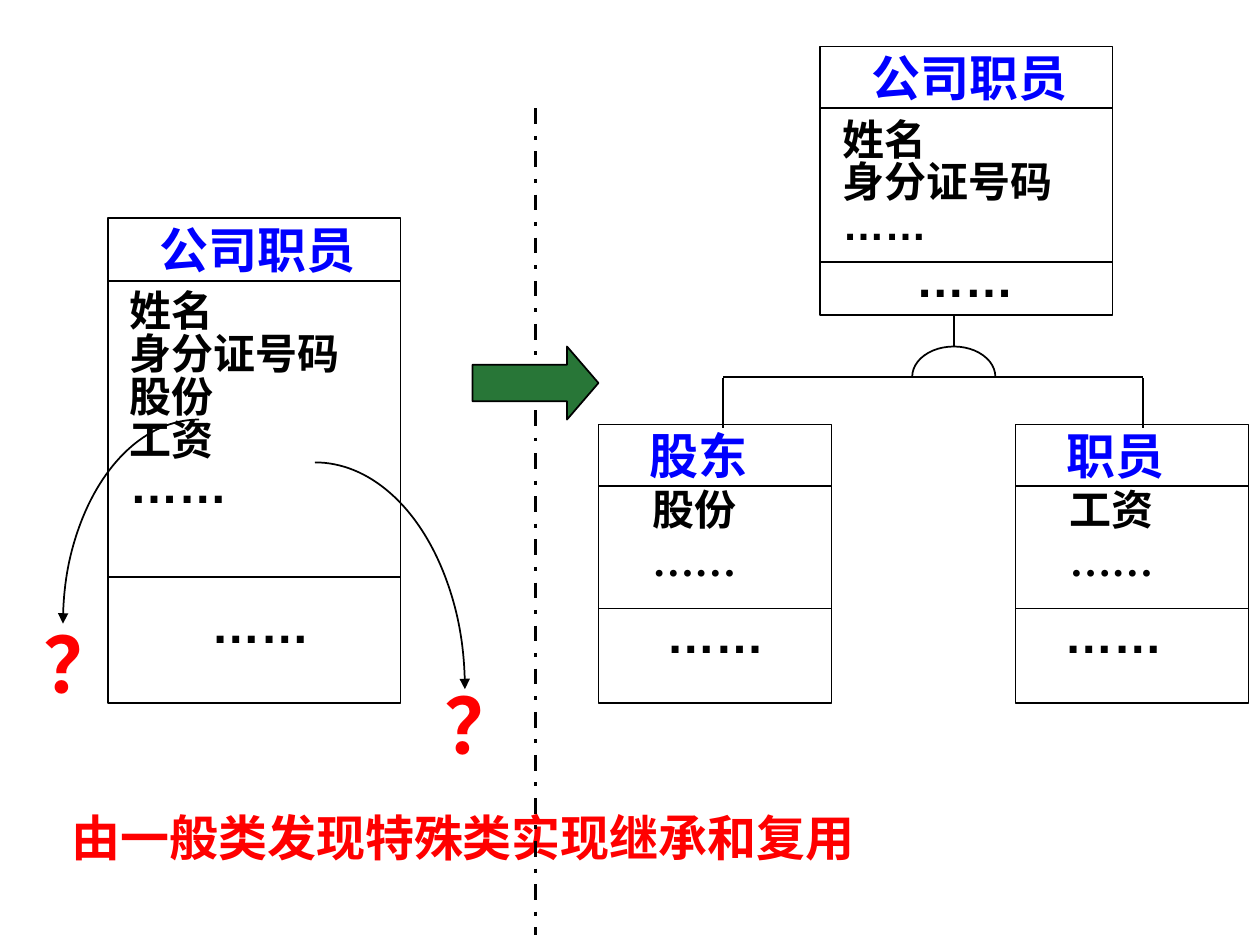
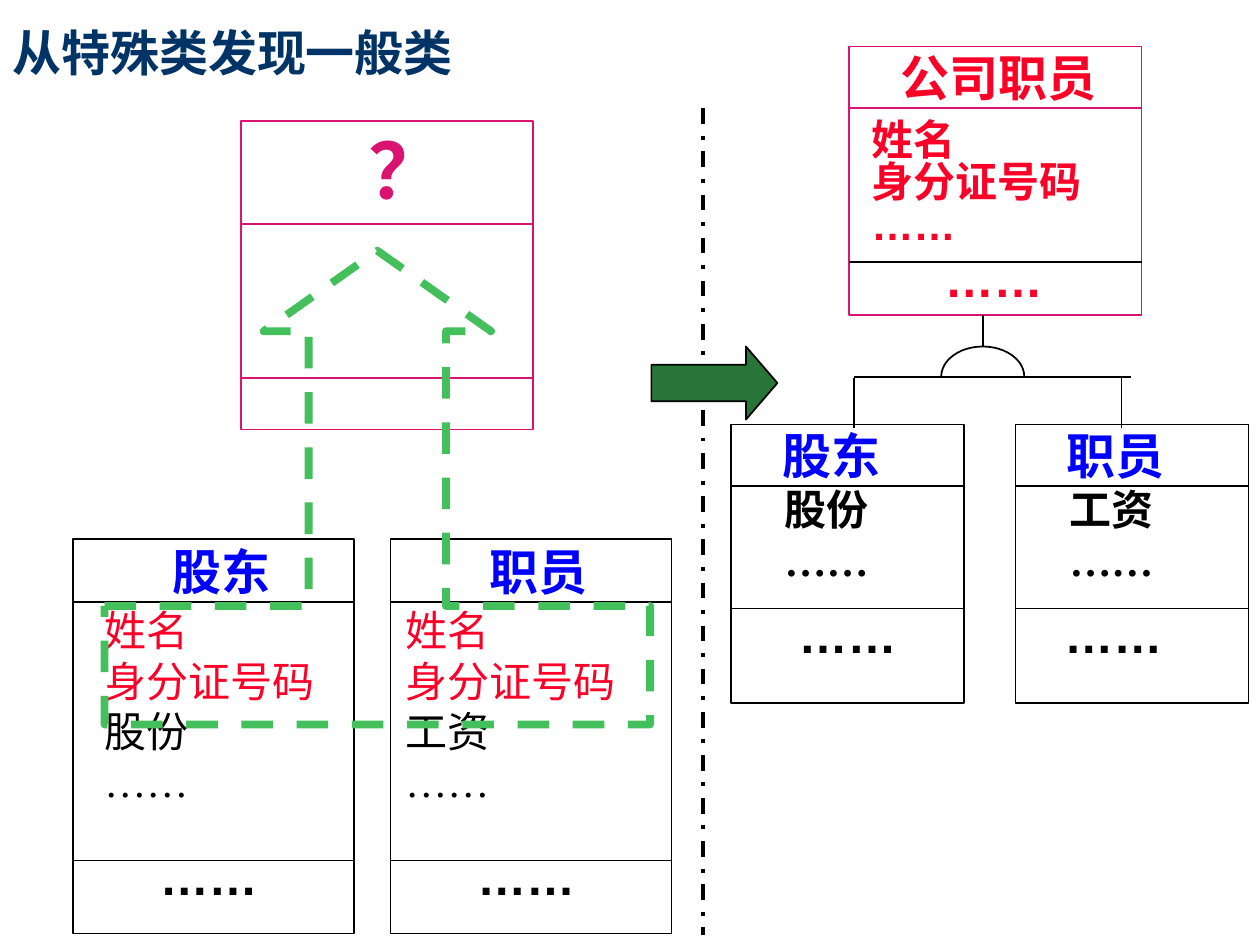
from lxml import etree
from pptx import Presentation
from pptx.dml.color import RGBColor
from pptx.enum.dml import MSO_LINE
from pptx.enum.shapes import MSO_CONNECTOR, MSO_SHAPE
from pptx.oxml.ns import qn
from pptx.util import Inches, Pt

BLACK = RGBColor(0x00, 0x00, 0x00)
BLUE = RGBColor(0x00, 0x00, 0xFF)
RED = RGBColor(0xFF, 0x00, 0x00)
CRIMSON = RGBColor(0xFC, 0x01, 0x28)
MAGENTA = RGBColor(0xDA, 0x12, 0x71)
NAVY = RGBColor(0x00, 0x33, 0x66)
GREEN = RGBColor(0x28, 0x76, 0x37)
LIGHT_GREEN = RGBColor(0x43, 0xBF, 0x5B)

SANS, ARIAL, TIMES = "Noto Sans CJK SC", "Arial", "Times New Roman"
DOTS = "……"
PERSON = ["姓名", "身分证号码"]
TITLE = {"size": Pt(28), "bold": True, "name": SANS}
MEMBER = {"size": Pt(24), "bold": True, "name": ARIAL}
METHOD = {"size": Pt(28), "bold": True, "name": ARIAL}
QUESTION = {"size": Pt(44), "bold": True, "name": ARIAL}


def write(page, place, lines, spacing=None, hanging=False):
    """Add a text box; lines holds (text, font format, colour) per paragraph."""
    box = page.shapes.add_textbox(*[Inches(value) for value in place])
    box.text_frame.word_wrap = True
    for index, (text, style, colour) in enumerate(lines):
        para = box.text_frame.paragraphs[0] if index == 0 else box.text_frame.add_paragraph()
        if spacing:
            para.line_spacing = spacing
        if hanging:
            properties = para._p.get_or_add_pPr()
            properties.set("marL", str(Inches(0.51)))
            properties.set("indent", str(-Inches(0.51)))
        span = para.add_run()
        span.text = text
        for name, value in style.items():
            setattr(span.font, name, value)
        span.font.color.rgb = colour
        east_asian = etree.SubElement(span._r.get_or_add_rPr(), qn("a:ea"))
        east_asian.set("typeface", style["name"])


def draw(page, kind, place, colour=BLACK, width=1, dash=None, fill=None, adjust=()):
    """Add a preset shape at left, top, width, height, or a line from x, y to x, y."""
    place = [Inches(value) for value in place]
    if kind == "line":
        item = page.shapes.add_connector(MSO_CONNECTOR.STRAIGHT, *place)
        etree.SubElement(item._element.spPr, qn("a:effectLst"))
    else:
        item = page.shapes.add_shape(kind, *place)
        item.shadow.inherit = False
        item.fill.background()
        if fill:
            item.fill.solid()
            item.fill.fore_color.rgb = fill
        for index, value in enumerate(adjust):
            item.adjustments[index] = value
    item.line.color.rgb = colour
    item.line.width = Pt(width)
    if dash:
        item.line.dash_style = dash
    return item


deck = Presentation()
deck.slide_width, deck.slide_height = Inches(10), Inches(7.5)
pages = [deck.slides.add_slide(deck.slide_layouts[6]) for _ in range(2)]
finding_special, finding_general = pages

write(finding_special, (0.47, 6.31, 8.6, 0.93),
      [("由一般类发现特殊类实现继承和复用", TITLE, RED)], 1.1, True)
write(finding_general, (0, 0.08, 9.92, 7.33),
      [("从特殊类发现一般类", TITLE, NAVY)], 1.1, True)

# Right half of both pages: general class, inheritance symbol, special classes.
# (page, general left, frame colour, text colours, shareholder left, branch xs, bar end, divider x, arrow left)
hierarchies = [
    (finding_special, 6.51, BLACK, BLUE, BLACK, 4.75, (5.74, 9.07), 9.07, 4.25, 3.75),
    (finding_general, 6.74, MAGENTA, CRIMSON, CRIMSON, 5.8, (6.78, 8.9), 8.98, 5.58, 5.17),
]
for (page, left, frame, name_colour, text_colour, holder_left,
     branches, bar_end, divider, arrow_left) in hierarchies:
    draw(page, MSO_SHAPE.RECTANGLE, (left, 0.37, 2.32, 2.13), frame)
    for y, colour in [(0.86, frame), (2.08, BLACK)]:
        draw(page, "line", (left, y, left + 2.32, y), colour)
    write(page, (left + 0.31, 0.33, 1.78, 0.57), [("公司职员", TITLE, name_colour)])
    write(page, (left + 0.08, 0.91, 1.9, 1.12),
          [(text, MEMBER, text_colour) for text in PERSON + [DOTS]], 0.85)
    write(page, (left + 0.66, 1.92, 1, 0.57), [(DOTS, METHOD, text_colour)])

    middle = left + 1.06
    draw(page, "line", (middle, 2.5, middle, 2.75))
    draw(page, MSO_SHAPE.ARC, (middle - 0.33, 2.75, 0.66, 0.48), adjust=(108, 0))
    draw(page, "line", (branches[0], 2.99, bar_end, 2.99))
    for x in branches:
        draw(page, "line", (x, 3, x, 3.4))

    for x, name, member, dots_shift in [(holder_left, "股东", "股份", 0.44),
                                        (8.06, "职员", "工资", 0.29)]:
        draw(page, MSO_SHAPE.RECTANGLE, (x, 3.37, 1.85, 2.21))
        for y in (3.86, 4.83):
            draw(page, "line", (x, y, x + 1.85, y))
        write(page, (x + 0.31, 3.33, 1, 0.57), [(name, TITLE, BLUE)])
        write(page, (x + 0.33, 3.79, 0.9, 0.9),
              [(member, {**MEMBER, "name": SANS}, BLACK),
               (DOTS, {**MEMBER, "name": TIMES}, BLACK)])
        write(page, (x + dots_shift, 4.75, 1, 0.57), [(DOTS, METHOD, BLACK)])

    draw(page, "line", (divider, 0.86, divider, 7.42), width=2.25, dash=MSO_LINE.DASH_DOT)
    draw(page, MSO_SHAPE.RIGHT_ARROW, (arrow_left, 2.75, 1, 0.58), fill=GREEN, adjust=(0.5, 0.43))

# Class whose members belong to two special classes
draw(finding_special, MSO_SHAPE.RECTANGLE, (0.86, 1.73, 2.32, 3.85))
for y in (2.23, 4.58):
    draw(finding_special, "line", (0.86, y, 3.18, y))
write(finding_special, (1.17, 1.69, 2.16, 0.56), [("公司职员", TITLE, BLUE)])
write(finding_special, (0.93, 2.27, 1.9, 1.86),
      [(text, MEMBER, BLACK) for text in PERSON + ["股份", "工资"]] + [(DOTS, METHOD, BLACK)], 0.85)
write(finding_special, (1.58, 4.67, 1, 0.57), [(DOTS, METHOD, BLACK)])
for ellipse, angles, end in [((0.5, 3.33, 2.16, 3.24), (108, 162), "a:headEnd"),
                             ((1.31, 3.67, 2.38, 3.6), (162, 0), "a:tailEnd")]:
    curve = draw(finding_special, MSO_SHAPE.ARC, ellipse, adjust=angles)
    etree.SubElement(curve.line._get_or_add_ln(), qn(end)).set("type", "triangle")

for page, x, y, colour in [(finding_special, 0.25, 4.84, RED),
                           (finding_special, 3.43, 5.33, RED),
                           (finding_general, 2.83, 0.92, MAGENTA)]:
    write(page, (x, y, 0.82, 0.83), [("？", QUESTION, colour)])

# Unknown general class above two classes with common members
draw(finding_general, MSO_SHAPE.RECTANGLE, (1.91, 0.96, 2.32, 2.45), MAGENTA)
for y in (1.78, 3):
    draw(finding_general, "line", (1.91, y, 4.23, y), MAGENTA)
for x, name, member, members_left in [(0.58, "股东", "股份", 0.73), (3.1, "职员", "工资", 3.12)]:
    draw(finding_general, MSO_SHAPE.RECTANGLE, (x, 4.28, 2.23, 3.13))
    for y in (4.78, 6.83):
        draw(finding_general, "line", (x, y, x + 2.23, y))
    write(finding_general, (x + 0.69, 4.25, 1, 0.57), [(name, TITLE, BLUE)])
    members = [(PERSON[0], SANS, CRIMSON), (PERSON[1], ARIAL, CRIMSON),
               (member, SANS, BLACK), (DOTS, TIMES, BLACK)]
    write(finding_general, (members_left, 4.75, 1.9, 1.69),
          [(text, {"size": Pt(24), "name": font}, colour) for text, font, colour in members])
    write(finding_general, (x + 0.59, 6.67, 1, 0.57), [(DOTS, METHOD, BLACK)])
draw(finding_general, MSO_SHAPE.UP_ARROW_CALLOUT, (0.83, 1.99, 4.33, 3.76), LIGHT_GREEN, 4.5,
     MSO_LINE.DASH, adjust=(0.29, 0.24, 0.17, 0.25))

deck.save("out.pptx")
